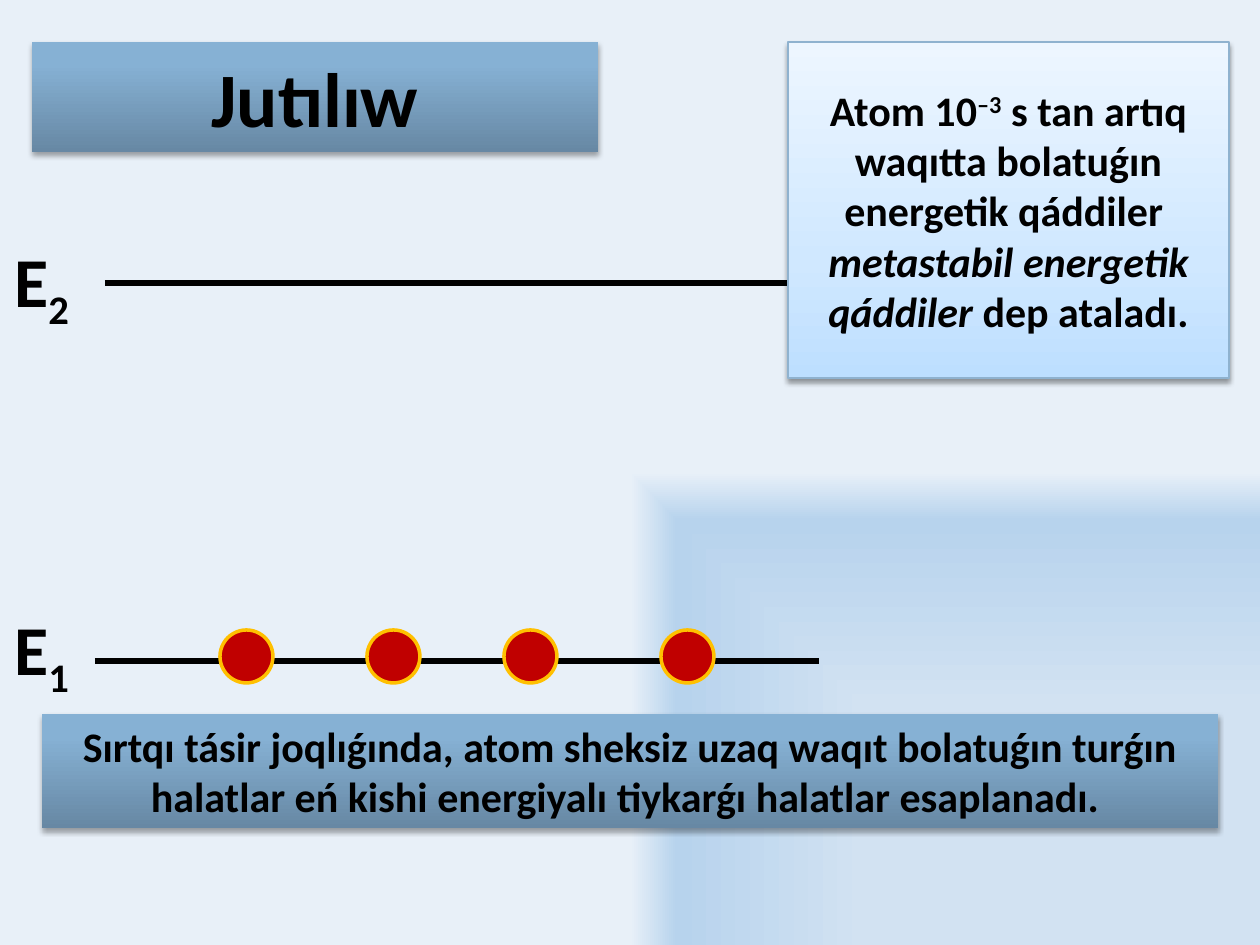
from lxml import etree
from pptx import Presentation
from pptx import util as u
from pptx.dml import color
from pptx.enum import shapes, text
from pptx.oxml import ns

EMU_PER_PIXEL = 914400 / 126
STEEL = [(0, "6788A4"), (80, "86B1D4"), (100, "86B2D7")]
SKY = [(0, "BDDFFF"), (35, "D0E8FF"), (100, "EDF6FF")]
BACKDROP = [(50, "D2E2F2"), (90, "B7D3ED"), (100, "E8F0F8")]


def px(length):
    """Turn pixels into EMU."""
    return u.Emu(round(length * EMU_PER_PIXEL))


def rgb(value):
    """Turn a hex string into a colour."""
    return color.RGBColor.from_string(value)


def child(parent, tag, **attributes):
    """Append a drawing element with the given attributes."""
    values = {key: str(value) for key, value in attributes.items()}
    return etree.SubElement(parent, ns.qn("a:" + tag), values)


def set_gradient(fill, owner, stops, corner=False):
    """Fill upwards, or as rectangles from the bottom right corner."""
    fill.solid()
    solid = owner.find(ns.qn("a:solidFill"))
    gradient = etree.Element(ns.qn("a:gradFill"), rotWithShape="1")
    stop_list = child(gradient, "gsLst")
    for position, value in stops:
        child(child(stop_list, "gs", pos=position * 1000), "srgbClr", val=value)
    if corner:
        shade = child(gradient, "path", path="rect")
        child(shade, "fillToRect", l=100000, t=100000)
    else:
        child(gradient, "lin", ang=16200000, scaled=0)
    owner.replace(solid, gradient)


class Slide:
    """Holds the text style and the current page."""

    font = {"name": "Calibri", "bold": True}

    def __init__(self, deck):
        """Add a title-only page with its background."""
        self.page = deck.slides.add_slide(deck.slide_layouts[5])
        fill = self.page.background.fill
        fill.solid()
        owner = self.page.element.find(".//" + ns.qn("p:bgPr"))
        set_gradient(fill, owner, BACKDROP, corner=True)

    def add_text(self, box, spans, size, **frame_format):
        """Set one centred paragraph of (text, baseline, italic) spans."""
        frame = box.text_frame
        for key, value in frame_format.items():
            setattr(frame, key, value)
        para = frame.paragraphs[0]
        para.alignment = text.PP_ALIGN.CENTER
        for words, baseline, italic in spans:
            span = para.add_run()
            span.text = words
            style = {**self.font, "size": u.Pt(size), "italic": italic}
            for key, value in style.items():
                setattr(span.font, key, value)
            span.font.color.rgb = rgb("000000")
            if baseline:
                span._r.get_or_add_rPr().set("baseline", str(baseline * 1000))

    def outline(self, box, value, width):
        """Draw the outline, or none when no colour is given."""
        if value:
            box.line.color.rgb = rgb(value)
            box.line.width = u.Pt(width)
        else:
            box.line.fill.background()

    def decorate(self, box, stops, border=None, opacity=35):
        """Give a panel its gradient, outline and soft shadow."""
        properties = box._element.spPr
        set_gradient(box.fill, properties, stops)
        self.outline(box, border, 0.75)
        box.shadow.inherit = False
        effects = properties.find(ns.qn("a:effectLst"))
        shadow = child(effects, "outerShdw", blurRad=u.Pt(3.1), dist=u.Pt(1.8),
                       dir=5400000, rotWithShape=0)
        black = child(shadow, "srgbClr", val="000000")
        child(black, "alpha", val=opacity * 1000)

    def title(self, place, words):
        """Place and format the title."""
        box = self.page.shapes.title
        for key, value in zip(("left", "top", "width", "height"), place):
            setattr(box, key, px(value))
        self.decorate(box, STEEL)
        self.add_text(box, [(words, 0, False)], 44, word_wrap=True,
                      vertical_anchor=text.MSO_ANCHOR.MIDDLE)

    def panel(self, place, spans, stops, **look):
        """Add a shaded text panel."""
        box = self.page.shapes.add_shape(
            shapes.MSO_SHAPE.RECTANGLE, *map(px, place))
        self.decorate(box, stops, **look)
        self.add_text(box, spans, 24, word_wrap=True,
                      vertical_anchor=text.MSO_ANCHOR.MIDDLE)

    def level(self, left, right, y):
        """Add the line of an energy level."""
        line = self.page.shapes.add_connector(
            shapes.MSO_CONNECTOR.STRAIGHT, px(left), px(y), px(right), px(y))
        self.outline(line, "000000", 3)
        child(line._element.spPr, "effectLst")

    def label(self, top, index):
        """Add the name of an energy level."""
        box = self.page.shapes.add_textbox(*map(px, (0, top, 83, 97)))
        self.add_text(box, [("Е", 0, False), (index, -25, False)], 40,
                      word_wrap=False,
                      auto_size=text.MSO_AUTO_SIZE.SHAPE_TO_FIT_TEXT)

    def atom(self, left, top, size=53):
        """Add an atom."""
        dot = self.page.shapes.add_shape(
            shapes.MSO_SHAPE.OVAL, *map(px, (left, top, size, size)))
        dot.fill.solid()
        dot.fill.fore_color.rgb = rgb("C00000")
        self.outline(dot, "FFC000", 2)
        dot.shadow.inherit = False


def main():
    """Build the slide and save it."""
    deck = Presentation()
    deck.slide_width, deck.slide_height = px(1260), px(945)
    slide = Slide(deck)
    slide.title((32, 42, 566, 110), "Jutılıw")
    for left, y, label_top, index in ((105, 283, 231, "2"), (95, 661, 599, "1")):
        slide.level(left, 819, y)
        slide.label(label_top, index)
    for left in (220, 367, 504, 661):
        slide.atom(left, 630)
    slide.panel((788, 42, 441, 336), [
        ("Atom 10", 0, False),
        ("–3", 30, False),
        ("\u00a0s tan artıq waqıtta bolatuǵın energetik qáddiler  ", 0, False),
        ("metastabil energetik qáddiler ", 0, True),
        ("dep ataladı.", 0, False),
    ], SKY, border="8FB2CF", opacity=38)
    slide.panel((42, 714, 1176, 114), [
        ("Sırtqı tásir joqlıǵında, atom sheksiz uzaq waqıt bolatuǵın turǵın "
         "halatlar eń kishi energiyalı tiykarǵı halatlar esaplanadı. ", 0, False),
    ], STEEL)
    deck.save("out.pptx")


main()
